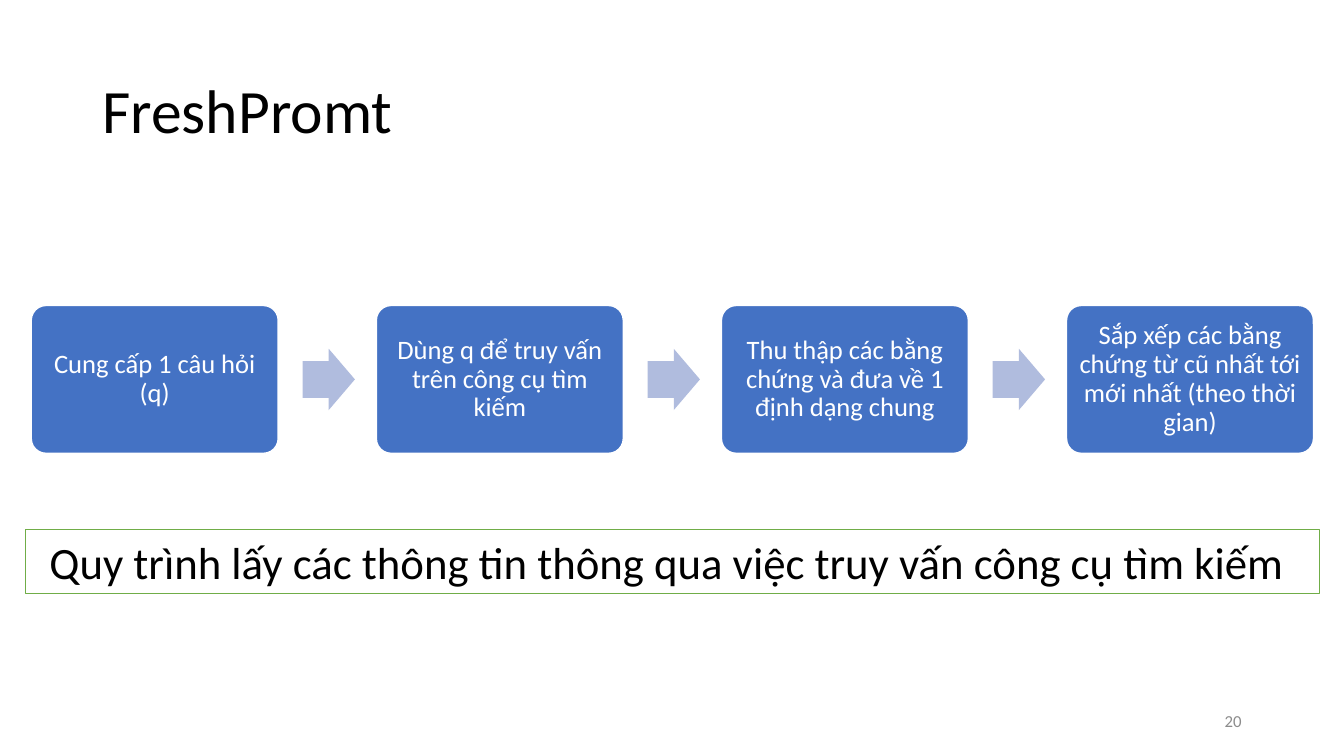
import pptx
import pptx.util
import pptx.dml.color
import pptx.enum.shapes
import pptx.enum.text

Pt = pptx.util.Pt
SHAPES = pptx.enum.shapes.MSO_SHAPE
ALIGN = pptx.enum.text.PP_ALIGN
MIDDLE = pptx.enum.text.MSO_ANCHOR.MIDDLE


def add_block(kind, place, fill=None, line=None, line_width=1, adjustments=()):
    shape = page.shapes.add_shape(kind, *[Pt(length) for length in place])
    shape.shadow.inherit = False
    for index, value in enumerate(adjustments):
        shape.adjustments[index] = value
    for part, colour in ((shape.fill, fill), (shape.line.fill, line)):
        if colour:
            part.solid()
            part.fore_color.rgb = pptx.dml.color.RGBColor.from_string(colour)
        else:
            part.background()
    if line:
        shape.line.width = Pt(line_width)
    return shape


def write_text(box, text, size, colour, align, spacing=1.0, inset=None):
    frame = box.text_frame
    for name, value in {"word_wrap": True, "vertical_anchor": MIDDLE}.items():
        setattr(frame, name, value)
    if inset is not None:
        for side in ("left", "top", "right", "bottom"):
            setattr(frame, f"margin_{side}", Pt(inset))
    para = frame.paragraphs[0]
    para.alignment = align
    para.line_spacing = spacing
    span = para.add_run()
    span.text = text
    for name, value in {"name": "Calibri", "size": Pt(size)}.items():
        setattr(span.font, name, value)
    span.font.color.rgb = pptx.dml.color.RGBColor.from_string(colour)


deck = pptx.Presentation()
deck.slide_width, deck.slide_height = Pt(960), Pt(540)
page = deck.slides.add_slide(deck.slide_layouts[6])

title = page.shapes.add_textbox(Pt(66), Pt(28.8), Pt(828), Pt(104.4))
write_text(title, "FreshPromt", 44, "000000", ALIGN.LEFT, spacing=0.9)

steps = [
    "Cung cấp 1 câu hỏi (q)",
    "Dùng q để truy vấn trên công cụ tìm kiếm",
    "Thu thập các bằng chứng và đưa về 1 định dạng chung",
    "Sắp xếp các bằng chứng từ cũ nhất tới mới nhất (theo thời gian)",
]
step_left, step_top, step_width, step_height = 22.3, 218.2, 176.4, 105.6
step_pitch = 246.5
arrow_width, arrow_height, arrow_gap = 37.4, 43.8, 17.4
arrow_top = step_top + (step_height - arrow_height) / 2

for number, step in enumerate(steps):
    left = step_left + number * step_pitch
    if number:
        arrow_left = left - step_pitch + step_width + arrow_gap
        add_block(SHAPES.RIGHT_ARROW, (arrow_left, arrow_top, arrow_width, arrow_height),
                  fill="B0BCDE", adjustments=(0.6, 0.5))
    card = add_block(SHAPES.ROUNDED_RECTANGLE, (left, step_top, step_width, step_height),
                     fill="4472C4", line="FFFFFF", adjustments=(0.1,))
    write_text(card, step, 19, "FFFFFF", ALIGN.CENTER, spacing=0.9, inset=5.7)

caption = add_block(SHAPES.RECTANGLE, (18, 378, 924.5, 46.1), line="70AD47", line_width=0.75)
write_text(caption, "Quy trình lấy các thông tin thông qua việc truy vấn công cụ tìm kiếm ",
           32, "000000", ALIGN.CENTER)

page_number = page.shapes.add_textbox(Pt(678), Pt(500.5), Pt(216), Pt(28.8))
write_text(page_number, "20", 12, "8C8C8C", ALIGN.RIGHT)

deck.save("out.pptx")
